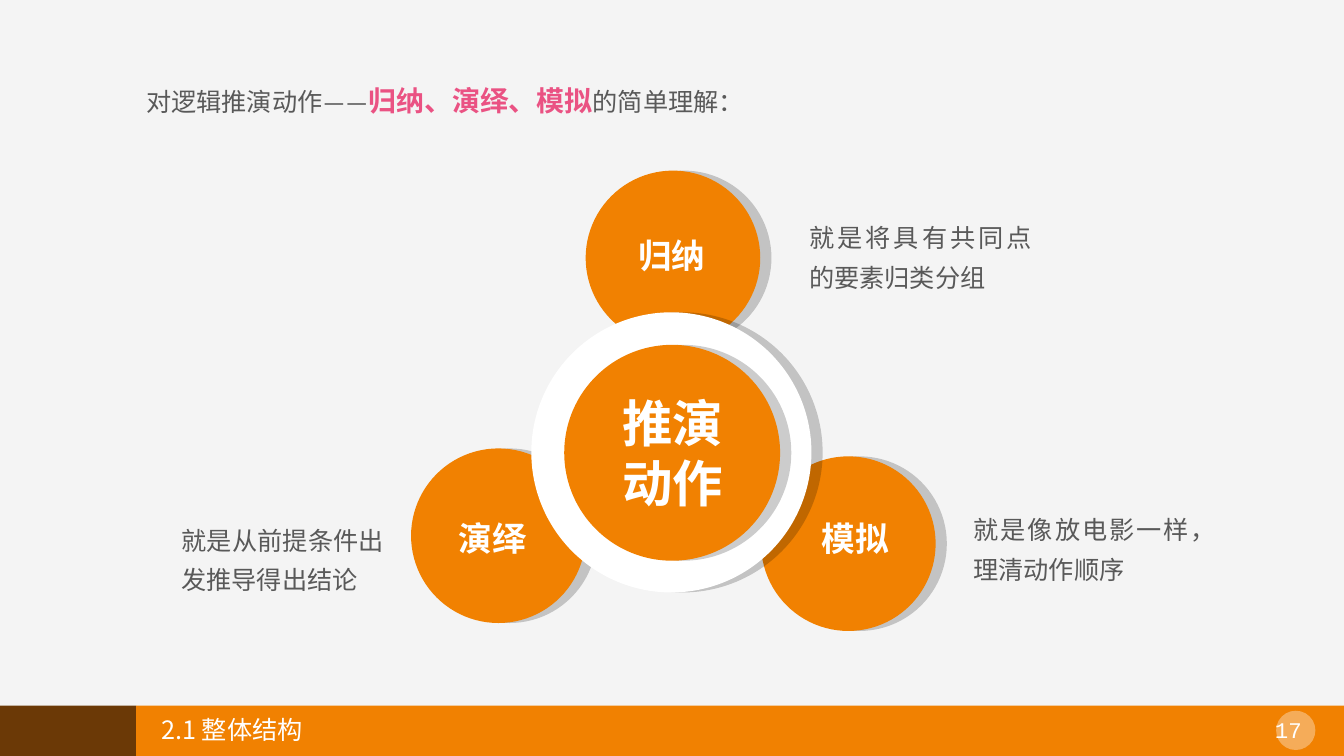
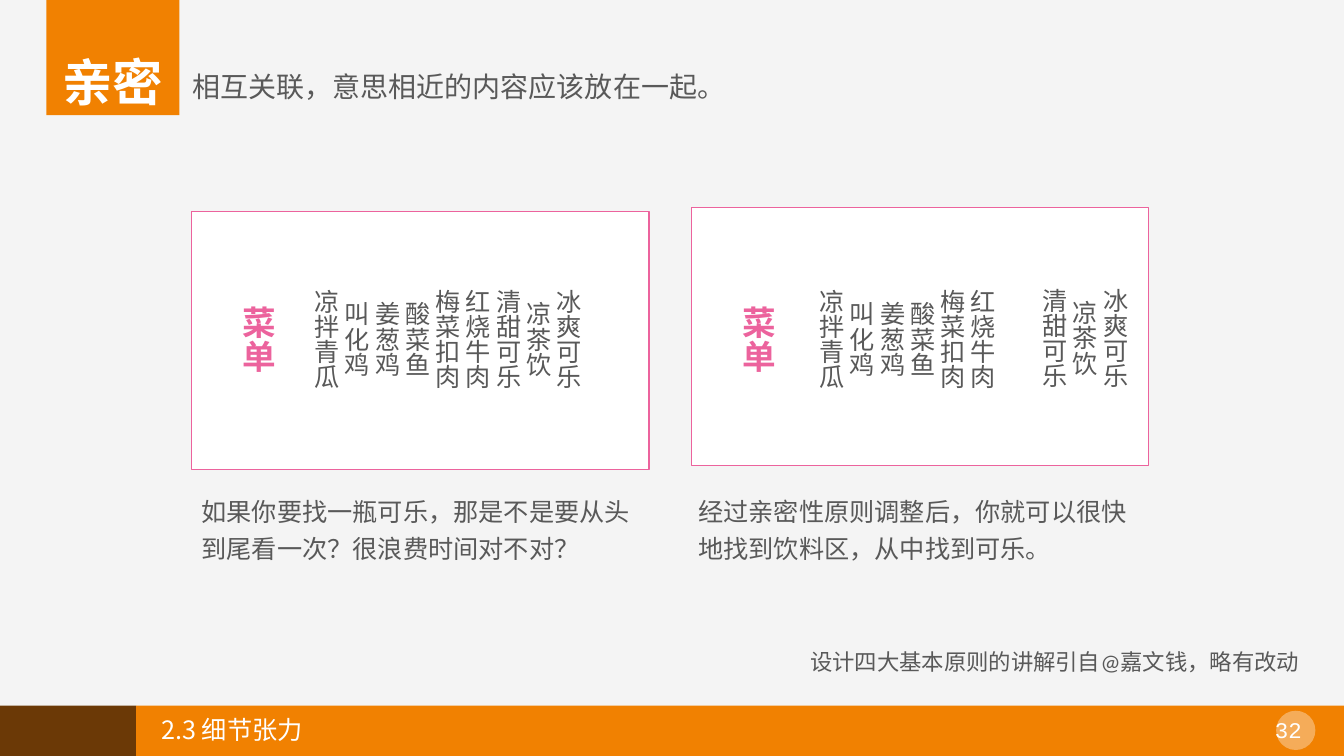
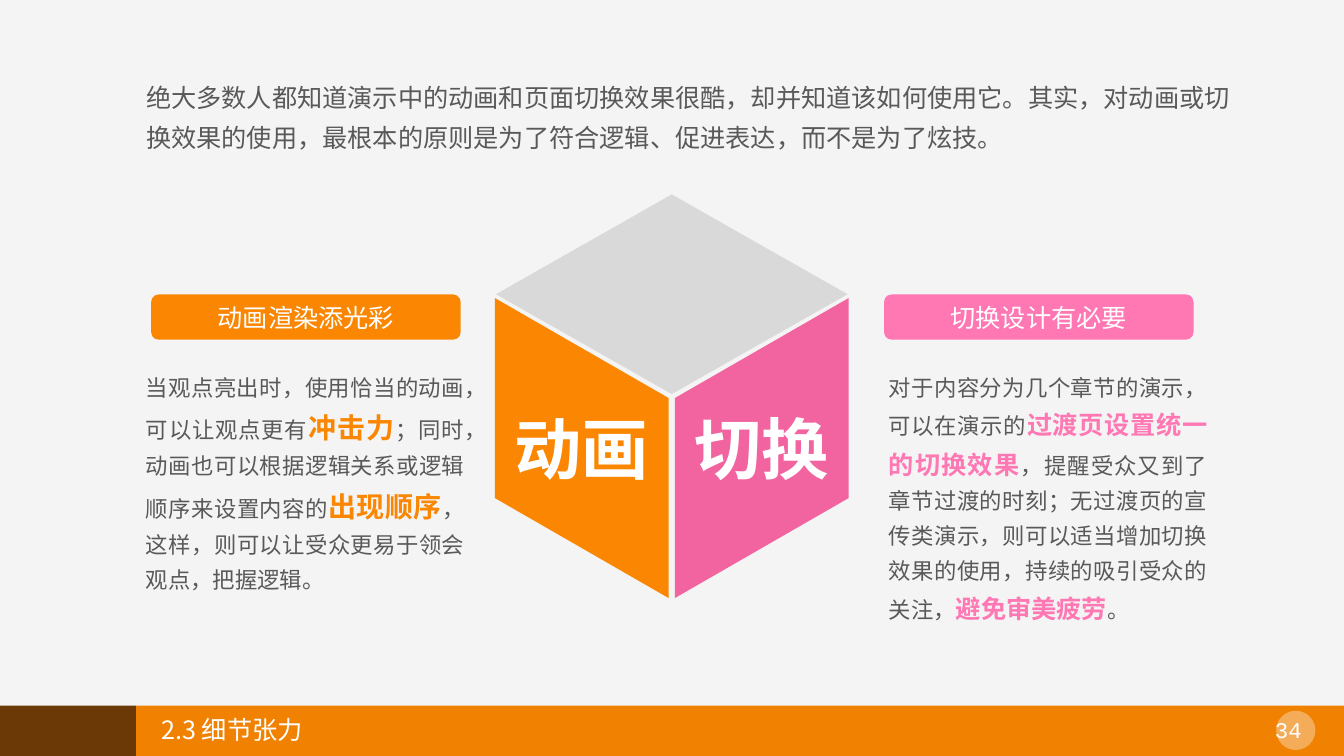
from dataclasses import dataclass
from typing import NamedTuple

from lxml.etree import SubElement as add_node
from pptx import Presentation
from pptx.dml.color import RGBColor
from pptx.enum.shapes import MSO_SHAPE as Form
from pptx.enum.text import MSO_ANCHOR as Anchor, MSO_AUTO_SIZE as Fit, PP_ALIGN as Align
from pptx.oxml.ns import qn
from pptx.util import Cm, Pt


class Ink(NamedTuple):
    size: int
    color: str
    bold: bool = False
    font: str = "Calibri"


class Box(NamedTuple):
    left: float
    top: float
    width: float
    height: float

    def cm(self) -> tuple:
        return tuple(Cm(side) for side in self)


@dataclass(frozen=True)
class Theme:
    paper: str = "F4F4F4"
    white: str = "FFFFFF"
    grey: str = "595959"
    light: str = "D9D9D9"
    brown: str = "6B3906"
    orange: str = "F18101"
    bright: str = "FA8601"
    rose: str = "EA5283"
    pink: str = "EC639D"
    candy: str = "FF77B3"
    face: str = "F164A0"
    noto: str = "Noto Sans CJK SC"
    east: str = "Calibri"
    mono: str = "Courier New"
    small: int = 16
    body: int = 18
    lead: int = 20
    head: int = 24
    large: int = 36
    huge: int = 48


T = Theme()
TEXT = Ink(T.body, T.grey)
NOTO = Ink(T.body, T.grey, font=T.noto)
SMALL = Ink(T.small, T.grey)
LABEL = Ink(T.head, T.white, True, T.noto)
BIG = Ink(T.large, T.white, True, T.noto)


@dataclass(frozen=True)
class Note:
    box: Box
    lines: tuple
    ink: Ink = TEXT
    align: Align = Align.LEFT
    space: float = 1.0
    slot: int | None = None
    down: bool = False


@dataclass(frozen=True)
class Disc:
    left: float
    top: float
    size: float
    color: str = T.orange


@dataclass(frozen=True)
class Panel:
    left: float
    top: float
    head: float
    slots: tuple
    list_box: Box
    foods: tuple
    text_box: Box
    text: str


def set_all(item, values: dict) -> None:
    for key, value in values.items():
        setattr(item, key, value)


def paint(shape, color: str, line: str | None = None):
    shape.shadow.inherit = False
    shape.fill.solid()
    shape.fill.fore_color.rgb = RGBColor.from_string(color)
    if line:
        shape.line.color.rgb = RGBColor.from_string(line)
        shape.line.width = Pt(1)
    else:
        shape.line.fill.background()
    return shape


def draw(slide, form: Form, box: Box, color: str, line: str | None = None):
    return paint(slide.shapes.add_shape(form, *box.cm()), color, line)


def fade(shape, share: int) -> None:
    tone = next(shape.element.iter(qn("a:srgbClr")))
    add_node(tone, qn("a:alpha"), val=str(share * 1000))


def shade(shape) -> None:
    group = shape.element.spPr.find(qn("a:effectLst"))
    cast = add_node(group, qn("a:outerShdw"), blurRad="0", dist=str(Pt(8)),
                    dir="0", algn="l", rotWithShape="0")
    tone = add_node(cast, qn("a:srgbClr"), val="000000")
    add_node(tone, qn("a:alpha"), val="20000")


def fill_text(shape, lines: tuple, ink: Ink, align: Align, space: float = 1.0) -> None:
    frame = shape.text_frame
    for index, line in enumerate(lines):
        para = frame.add_paragraph() if index else frame.paragraphs[0]
        set_all(para, {"alignment": align, "line_spacing": space,
                       "space_before": Pt(0), "space_after": Pt(0)})
        for text, tint in [(line, ink)] if isinstance(line, str) else line:
            run = para.add_run()
            run.text = text
            set_all(run.font, {"size": Pt(tint.size), "bold": tint.bold, "name": tint.font})
            run.font.color.rgb = RGBColor.from_string(tint.color)
    for node in shape.element.iter(qn("a:rPr")):
        node.set("lang", "zh-CN")
        add_node(node, qn("a:ea"), typeface=T.east)


def write(slide, note: Note) -> None:
    if note.slot is None:
        shape = slide.shapes.add_textbox(*note.box.cm())
    else:
        shape = slide.placeholders[note.slot]
        set_all(shape, dict(zip(("left", "top", "width", "height"), note.box.cm())))
        slide.shapes.element.append(shape.element)
    set_all(shape.text_frame, {"word_wrap": not note.down, "auto_size": Fit.NONE,
                               "vertical_anchor": Anchor.TOP})
    if note.down:
        next(shape.element.iter(qn("a:bodyPr"))).set("vert", "eaVert")
    fill_text(shape, note.lines, note.ink, note.align, note.space)
    if note.slot is not None:
        for node in shape.element.iter(qn("a:pPr")):
            node.set("marL", "0")
            node.set("indent", "0")
            add_node(node, qn("a:buNone"))


def centre(shape, text: str, ink: Ink) -> None:
    set_all(shape.text_frame, {"word_wrap": True, "vertical_anchor": Anchor.MIDDLE})
    fill_text(shape, (text,), ink, Align.CENTER)


def dress(deck, slide) -> None:
    master = deck.slide_master
    master.background.fill.solid()
    master.background.fill.fore_color.rgb = RGBColor.from_string(T.paper)
    disc = draw(slide, Form.OVAL, Box(32.16, 17.91, 0.99, 0.99), T.white)
    fade(disc, 35)
    bands = (draw(slide, Form.RECTANGLE, Box(0, 17.78, 3.43, 1.27), T.brown),
             draw(slide, Form.RECTANGLE, Box(3.43, 17.78, 30.44, 1.27), T.orange), disc)
    for place, shape in enumerate(bands, 2):
        master.shapes.element.insert(place, shape.element)


def start(deck, layout: int, title: str, page: int):
    slide = deck.slides.add_slide(deck.slide_layouts[layout])
    write(slide, Note(Box(3.81, 17.65, 14.66, 1.3), (title,),
                      Ink(T.body, T.white, font=T.noto), space=1.3, slot=0))
    write(slide, Note(Box(31.57, 17.93, 1.8, 0.94), (str(page),),
                      Ink(T.small, T.white, font=T.mono), Align.CENTER))
    return slide


def logic(deck) -> None:
    slide = start(deck, 1, "2.1 整体结构", 17)
    dress(deck, slide)
    lead = (("对逻辑推演动作——", TEXT),
            ("归纳、演绎、模拟", Ink(T.lead, T.rose, True)),
            ("的简单理解：", TEXT))
    write(slide, Note(Box(3.43, 1.73, 28.27, 1.37), (lead,), space=1.3, slot=1))
    discs = (Disc(10.36, 11.3, 4.4), Disc(19.18, 11.5, 4.4), Disc(14.76, 4.3, 4.4),
             Disc(13.39, 7.87, 7.06, T.white), Disc(14.22, 8.69, 5.44))
    for disc in discs:
        box = Box(disc.left, disc.top, disc.size, disc.size)
        shade(draw(slide, Form.OVAL, box, disc.color))
    write(slide, Note(Box(15.04, 9.75, 3.84, 3.33), ("推演动作",), BIG, Align.CENTER))
    for left, top, text in ((20.37, 12.93, "模拟"), (15.75, 5.79, "归纳"), (11.23, 12.93, "演绎")):
        write(slide, Note(Box(left, top, 2.36, 1.27), (text,), LABEL, Align.CENTER))
    hints = ((20.14, 5.26, 6.12, "就是将具有共同点的要素归类分组"),
             (4.32, 12.88, 5.61, "就是从前提条件出发推导得出结论"),
             (24.28, 12.62, 5.99, "就是像放电影一样，理清动作顺序"))
    for left, top, width, text in hints:
        write(slide, Note(Box(left, top, width, 2.26), (text,),
                          align=Align.JUSTIFY, space=1.3))


def menu(deck) -> None:
    slide = start(deck, 4, "2.3 细节张力", 32)
    draw(slide, Form.RECTANGLE, Box(1.17, 0, 3.35, 2.9), T.orange)
    write(slide, Note(Box(1.32, 1.17, 3.07, 1.8), ("亲密",), BIG))
    write(slide, Note(Box(4.6, 1.63, 14.05, 1.12), ("相互关联，意思相近的内容应该放在一起。",),
                      Ink(T.lead, T.grey, font=T.noto)))
    drinks = ("冰爽可乐", "凉茶饮", "清甜可乐")
    foods = ("红烧牛肉", "梅菜扣肉", "酸菜鱼", "姜葱鸡", "叫化鸡", "凉拌青瓜")
    panels = (
        Panel(4.83, 5.33, 5.72, (1, 2), Box(6.76, 7.16, 8.2, 2.82), drinks + foods,
              Box(4.83, 12.24, 11.53, 2.03),
              "如果你要找一瓶可乐，那是不是要从头到尾看一次？很浪费时间对不对？"),
        Panel(17.42, 5.23, 18.31, (3, 4), Box(19.51, 7.16, 5.89, 2.82), foods,
              Box(17.35, 12.24, 11.61, 2.03),
              "经过亲密性原则调整后，你就可以很快地找到饮料区，从中找到可乐。"),
    )
    for panel in panels:
        draw(slide, Form.RECTANGLE, Box(panel.left, panel.top, 11.53, 6.5), T.white, T.pink)
        write(slide, Note(Box(panel.head, 7.59, 1.55, 1.96), ("菜单",),
                          Ink(T.head, T.pink, True, T.noto), slot=panel.slots[0], down=True))
        write(slide, Note(panel.list_box, panel.foods, NOTO, Align.CENTER,
                          slot=panel.slots[1], down=True))
        write(slide, Note(panel.text_box, (panel.text,), NOTO, space=1.2))
    write(slide, Note(Box(25.78, 7.01, 2.82, 3.12), drinks, NOTO, Align.CENTER, down=True))
    write(slide, Note(Box(20.17, 16.21, 12.98, 0.94),
                      ("设计四大基本原则的讲解引自@嘉文钱，略有改动",), SMALL))


def side(slide, left: float, tops: tuple, color: str, text: str) -> None:
    width, height = 4.38, 5.04
    near, far = tops
    right = left + width
    points = ((right, far), (right, far + height), (left, near + height))
    pen = slide.shapes.build_freeform(Cm(left), Cm(near))
    pen.add_line_segments([(Cm(x), Cm(y)) for x, y in points], close=True)
    shape = paint(pen.convert_to_shape(), color)
    centre(shape, text, Ink(T.huge, T.white, True))


def motion(deck) -> None:
    slide = start(deck, 1, "2.3 细节张力", 34)
    write(slide, Note(Box(3.43, 1.73, 28.27, 2.18), (
        "绝大多数人都知道演示中的动画和页面切换效果很酷，却并知道该如何使用它。"
        "其实，对动画或切换效果的使用，最根本的原则是为了符合逻辑、促进表达，而不是为了炫技。",),
        space=1.3, slot=1))
    high, low = 7.51, 10.03
    side(slide, 12.47, (high, low), T.bright, "动画")
    side(slide, 17.01, (low, high), T.face, "切换")
    draw(slide, Form.DIAMOND, Box(12.5, 4.9, 8.86, 5.03), T.light)
    warm = Ink(T.lead, T.bright, True)
    cool = Ink(T.body, T.candy, True)
    left = (("当观点亮出时，使用恰当的动画，可以让观点更有", SMALL), ("冲击力", warm),
            ("；同时，动画也可以根据逻辑关系或逻辑顺序来设置内容的", SMALL), ("出现顺序", warm),
            ("，这样，则可以让受众更易于领会观点，把握逻辑。", SMALL))
    right = (("对于内容分为几个章节的演示，可以在演示的", SMALL), ("过渡页设置统一的切换效果", cool),
             ("，提醒受众又到了章节过渡的时刻；无过渡页的宣传类演示，"
              "则可以适当增加切换效果的使用，持续的吸引受众的关注，", SMALL),
             ("避免审美疲劳", cool), ("。", SMALL))
    parts = ((3.81, T.bright, "动画渲染添光彩", 3.43, left),
             (22.28, T.candy, "切换设计有必要", 22.15, right))
    for edge, color, head, start_x, runs in parts:
        pill = draw(slide, Form.ROUNDED_RECTANGLE, Box(edge, 7.42, 7.8, 1.14), color)
        centre(pill, head, Ink(T.body, T.white))
        write(slide, Note(Box(start_x, 9.09, 8.53, 6.9), (runs,),
                          align=Align.JUSTIFY, space=1.3))


def main() -> None:
    deck = Presentation()
    set_all(deck, {"slide_width": Cm(33.87), "slide_height": Cm(19.05)})
    for build in (logic, menu, motion):
        build(deck)
    deck.save("out.pptx")


if __name__ == "__main__":
    main()
